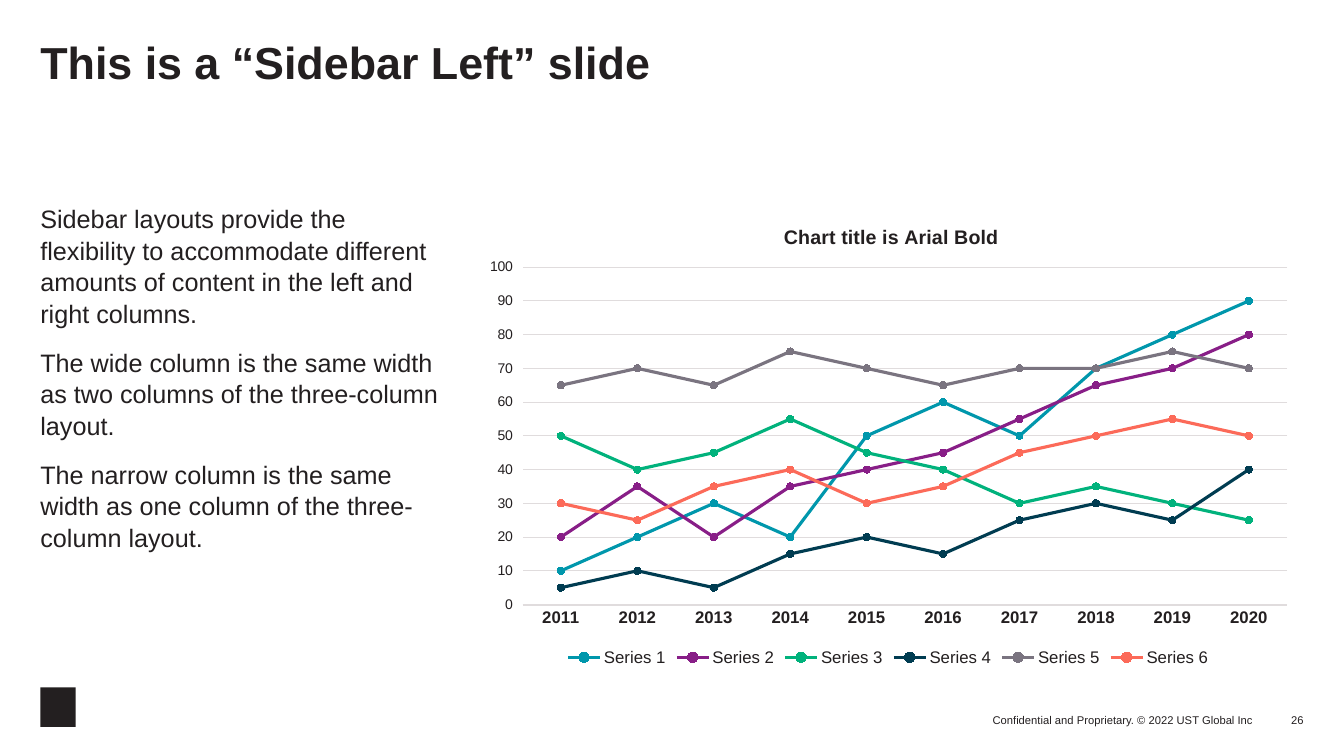
from lxml import etree
from pptx import Presentation
from pptx import util as u
from pptx.chart.data import CategoryChartData
from pptx.dml.color import RGBColor
from pptx.enum import chart as ch, shapes, text
from pptx.oxml import parse_xml
from pptx.oxml.ns import nsdecls, qn

INK = RGBColor(0x23, 0x1F, 0x20)
GRID = RGBColor(0xE0, 0xDC, 0xDD)
TEAL = RGBColor(0x00, 0x97, 0xAC)
PLUM = RGBColor(0x88, 0x1E, 0x87)
GREEN = RGBColor(0x01, 0xB2, 0x7C)
NAVY = RGBColor(0x00, 0x3C, 0x51)
GRAY = RGBColor(0x7A, 0x74, 0x80)
CORAL = RGBColor(0xFC, 0x6A, 0x59)

YEARS = [str(year) for year in range(2011, 2021)]
LINES = [
    (TEAL, (10, 20, 30, 20, 50, 60, 50, 70, 80, 90)),
    (PLUM, (20, 35, 20, 35, 40, 45, 55, 65, 70, 80)),
    (GREEN, (50, 40, 45, 55, 45, 40, 30, 35, 30, 25)),
    (NAVY, (5, 10, 5, 15, 20, 15, 25, 30, 25, 40)),
    (GRAY, (65, 70, 65, 75, 70, 65, 70, 70, 75, 70)),
    (CORAL, (30, 25, 35, 40, 30, 35, 45, 50, 55, 50)),
]
NOTES = [
    "Sidebar layouts provide the flexibility to accommodate different "
    "amounts of content in the left and right columns.",
    "The wide column is the same width as two columns of the three-column layout.",
    "The narrow column is the same width as one column of the three-column layout.",
]


class Deck:
    """Holds the style and the current slide, and adds each kind of element."""

    def __init__(self, wide, high):
        self.scale = u.Inches(1) // 100
        self.face = "Arial"
        self.prs = Presentation()
        self.prs.slide_width, self.prs.slide_height = self.px(wide, high)
        self.slide = self.prs.slides.add_slide(self.prs.slide_layouts[1])

    def px(self, *sizes):
        return [size * self.scale for size in sizes]

    def put(self, item, values):
        for name, value in values.items():
            setattr(item, name, value)

    def font(self, font, size, bold=False):
        self.put(font, {"name": self.face, "size": u.Pt(size), "bold": bold})
        font.color.rgb = INK

    def words(self, box, lines, size, bold=False, wrap=True, space=0,
              lead=1.0, align=text.PP_ALIGN.LEFT, anchor=text.MSO_ANCHOR.TOP):
        frame = box.text_frame
        frame.text = "\n".join(lines)
        self.put(frame, {
            "margin_left": 0, "margin_top": 0, "margin_right": 0, "margin_bottom": 0,
            "word_wrap": wrap, "vertical_anchor": anchor,
            "auto_size": text.MSO_AUTO_SIZE.NONE})
        for i, para in enumerate(frame.paragraphs):
            self.put(para, {"alignment": align, "line_spacing": lead,
                            "space_before": u.Pt(space if i else 0),
                            "space_after": u.Pt(0)})
            props = para._p.get_or_add_pPr()
            props.set("marL", "0")
            props.set("indent", "0")
            etree.SubElement(props, qn("a:buNone"))
            self.font(para.font, size, bold)

    def fill(self, holder, place, lines, size, **style):
        names = ("left", "top", "width", "height")
        self.put(holder, dict(zip(names, self.px(*place))))
        self.words(holder, lines, size, **style)

    def label(self, place, line, wrap=True):
        box = self.slide.shapes.add_textbox(*self.px(*place))
        self.words(box, [line], 8, wrap=wrap, align=text.PP_ALIGN.RIGHT,
                   anchor=text.MSO_ANCHOR.BOTTOM)

    def block(self, place):
        box = self.slide.shapes.add_shape(
            shapes.MSO_SHAPE.RECTANGLE, *self.px(*place))
        box.shadow.inherit = False
        box.fill.solid()
        box.fill.fore_color.rgb = INK
        box.line.fill.background()

    def layout(self, node, inner=False, **part):
        old = node.find(qn("c:layout"))
        if old is not None:
            node.remove(old)
        target = '<c:layoutTarget val="inner"/>' if inner else ""
        modes = "".join(f'<c:{k}Mode val="edge"/>' for k in "xy")
        sizes = "".join(f'<c:{k} val="{v}"/>' for k, v in part.items())
        new = parse_xml(f'<c:layout {nsdecls("c")}><c:manualLayout>{target}'
                        f'{modes}{sizes}</c:manualLayout></c:layout>')
        if inner:
            node.insert(0, new)
        else:
            node.find(qn("c:tx")).addnext(new)

    def chart(self, place, title, cats, lines):
        data = CategoryChartData()
        data.categories = cats
        for i, (_, vals) in enumerate(lines, 1):
            data.add_series(f"Series {i}", vals)
        chart = self.slide.shapes.add_chart(
            ch.XL_CHART_TYPE.LINE_MARKERS, *self.px(*place), data).chart
        self.font(chart.font, 12)
        self.head(chart, title)
        self.axes(chart)
        chart.has_legend = True
        self.put(chart.legend, {"position": ch.XL_LEGEND_POSITION.BOTTOM,
                                "include_in_layout": False})
        self.font(chart.legend.font, 12)
        plot = chart.plots[0]
        plot.vary_by_categories = False
        for series, (color, _) in zip(plot.series, lines):
            self.trace(series, color)
        area = chart._chartSpace.chart.plotArea
        self.layout(area, inner=True, x=0.06, y=0.14, w=0.92, h=0.72)

    def head(self, chart, title):
        chart.has_title = True
        chart.chart_title.include_in_layout = False
        para = chart.chart_title.text_frame.paragraphs[0]
        run = para.add_run()
        run.text = title
        self.font(run.font, 14, True)
        self.layout(chart.chart_title._element, x=0.37, y=0.04)

    def axes(self, chart):
        years, marks = chart.category_axis, chart.value_axis
        self.font(years.tick_labels.font, 12, True)
        self.font(marks.tick_labels.font, 10)
        self.put(years, {"major_tick_mark": ch.XL_TICK_MARK.NONE})
        self.put(marks, {"minimum_scale": 0, "maximum_scale": 100, "major_unit": 10,
                         "major_tick_mark": ch.XL_TICK_MARK.OUTSIDE})
        marks.format.line.fill.background()
        for line, width in ((years.format.line, 1.5),
                            (marks.major_gridlines.format.line, 0.75)):
            line.color.rgb = GRID
            line.width = u.Pt(width)

    def trace(self, series, color):
        series.smooth = False
        series.format.line.color.rgb = color
        series.format.line.width = u.Pt(2.25)
        mark = series.marker
        self.put(mark, {"style": ch.XL_MARKER_STYLE.CIRCLE, "size": 5})
        mark.format.fill.solid()
        mark.format.fill.fore_color.rgb = color
        mark.format.line.color.rgb = color


def main():
    deck = Deck(1333, 750)
    title, body = deck.slide.placeholders
    deck.block((40, 682, 35, 39))
    deck.label((899, 701, 344, 20),
               "Confidential and Proprietary. © 2022 UST Global Inc", wrap=False)
    deck.label((1243, 691, 50, 30), "26")
    deck.fill(title, (40, 40, 1253, 100), ["This is a “Sidebar Left” slide"],
              32, bold=True, lead=0.9)
    deck.fill(body, (40, 200, 395, 465), NOTES, 18, space=12, lead=1.05)
    deck.chart((469, 200, 824, 465), "Chart title is Arial Bold", YEARS, LINES)
    deck.prs.save("out.pptx")


if __name__ == "__main__":
    main()
